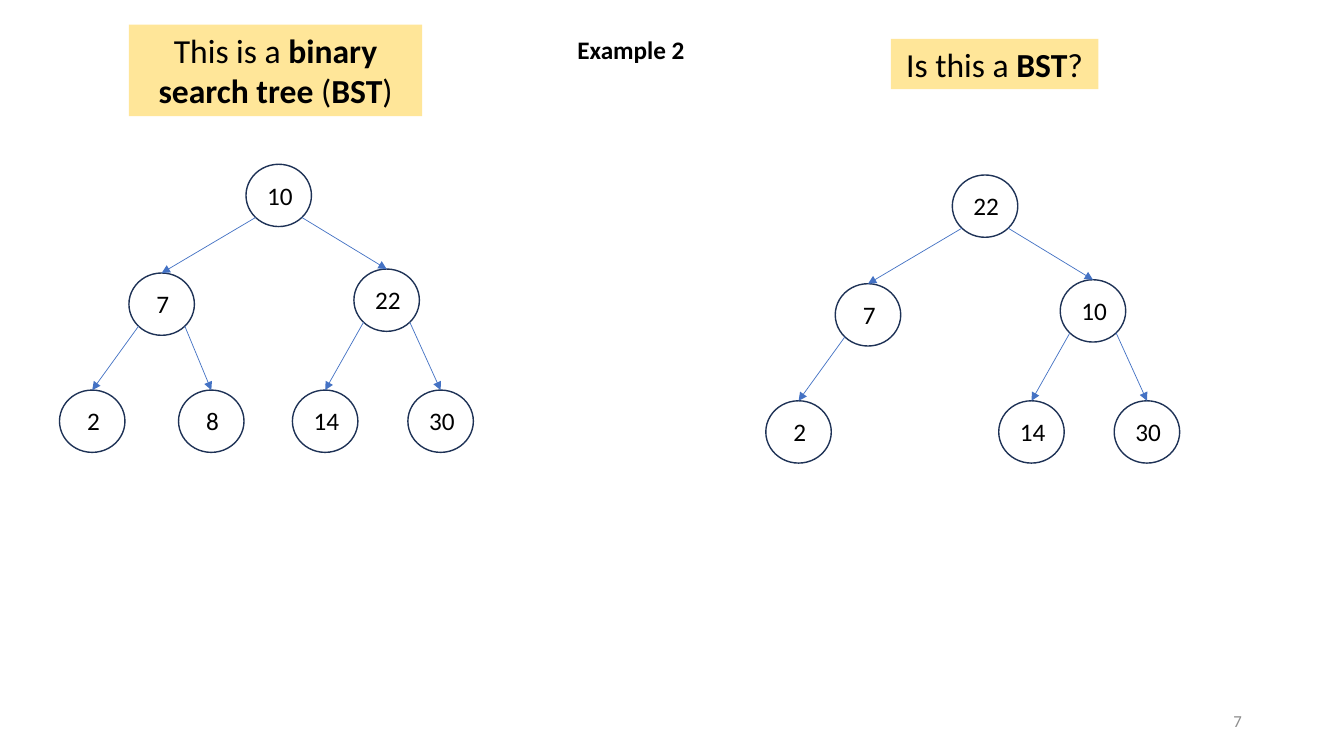
import math
import pptx
import pptx.util
import pptx.dml.color
import pptx.enum.shapes
import pptx.enum.text
import pptx.oxml
import pptx.oxml.ns

Cm, Pt = pptx.util.Cm, pptx.util.Pt
ALIGN = pptx.enum.text.PP_ALIGN
SHAPE = pptx.enum.shapes.MSO_SHAPE

# Content: a tree lists its values by slot, a run is (text, bold)
COLORS = {"text": "000000", "node": "1E3256", "arrow": "4472C4",
          "label": "FFE699", "number": "8C8C8C"}
TREES = [
    {"offset": (0, 0),
     "values": {"root": "10", "L": "7", "R": "22",
                "LL": "2", "LR": "8", "RL": "14", "RR": "30"}},
    {"offset": (17.8, 0.27),
     "values": {"root": "22", "L": "7", "R": "10",
                "LL": "2", "RL": "14", "RR": "30"}},
]
LABELS = [
    ((3.25, 0.62, 7.39, 2.31),
     [("This is a ", False), ("binary search tree", True), (" (", False),
      ("BST", True), (")", False)]),
    ((22.45, 0.98, 5.23, 1.27),
     [("Is this a ", False), ("BST", True), ("?", False)]),
]
HEADING = ((14.3, 0.74, 3.23, 1.02), [("Example 2", True)])
NUMBER = ((23.93, 17.65, 7.62, 1.02), [("7", False)])

# Geometry in centimetres
NODE_W, NODE_H = 1.65, 1.57
SLOTS = {"root": (6.2, 4.14), "L": (3.25, 6.88), "R": (8.92, 6.78),
         "LL": (1.5, 9.83), "LR": (4.5, 9.83),
         "RL": (7.37, 9.83), "RR": (10.28, 9.83)}
VALUE_DX, VALUE_DY, VALUE_W, VALUE_H = -0.43, 0.27, 2.57, 1.02


def rgb(name):
    return pptx.dml.color.RGBColor.from_string(COLORS[name])


def write(sp, runs, size, align, color="text", **frame):
    tf = sp.text_frame
    for key, value in {"word_wrap": True, **frame}.items():
        setattr(tf, key, value)
    p = tf.paragraphs[0]
    p.alignment = align
    for text, bold in runs:
        r = p.add_run()
        r.text = text
        r.font.color.rgb = rgb(color)
        for key, value in {"name": "Calibri", "size": Pt(size), "bold": bold}.items():
            setattr(r.font, key, value)


def add_node(s, value, x, y):
    shapes = s.shapes.add_group_shape().shapes
    box = (x + VALUE_DX, y + VALUE_DY, VALUE_W, VALUE_H)
    write(shapes.add_textbox(*map(Cm, box)), [(value, False)], 18, ALIGN.CENTER)
    sp = shapes.add_shape(SHAPE.OVAL, *map(Cm, (x, y, NODE_W, NODE_H)))
    sp.shadow.inherit = False
    sp.fill.background()
    sp.line.color.rgb = rgb("node")
    sp.line.width = Pt(1)


def add_arrow(s, parent, child, side):
    # From the lower diagonal of the parent to the top of the child
    reach = math.sqrt(0.5)
    ends = (parent[0] + NODE_W / 2 * (1 + side * reach),
            parent[1] + NODE_H / 2 * (1 + reach),
            child[0] + NODE_W / 2, child[1])
    cx = s.shapes.add_connector(pptx.enum.shapes.MSO_CONNECTOR.STRAIGHT, *map(Cm, ends))
    cx.line.color.rgb = rgb("arrow")
    cx.line.width = Pt(0.5)
    ns = pptx.oxml.ns.nsdecls("a")
    cx.line._get_or_add_ln().append(
        pptx.oxml.parse_xml(f'<a:tailEnd {ns} type="triangle"/>'))
    cx._element.spPr.append(pptx.oxml.parse_xml(f"<a:effectLst {ns}/>"))


def add_tree(s, offset, values):
    spots = {slot: (SLOTS[slot][0] + offset[0], SLOTS[slot][1] + offset[1])
             for slot in values}
    for slot, value in values.items():
        add_node(s, value, *spots[slot])
    for slot in values:
        if slot != "root":
            side = -1 if slot.endswith("L") else 1
            add_arrow(s, spots[slot[:-1] or "root"], spots[slot], side)


def main():
    prs = pptx.Presentation()
    prs.slide_width, prs.slide_height = Cm(33.87), Cm(19.05)
    s = prs.slides.add_slide(prs.slide_layouts[6])

    # Trees
    for tree in TREES:
        add_tree(s, **tree)

    # Yellow labels
    for box, runs in LABELS:
        sp = s.shapes.add_shape(SHAPE.RECTANGLE, *map(Cm, box))
        sp.shadow.inherit = False
        sp.fill.solid()
        sp.fill.fore_color.rgb = rgb("label")
        sp.line.fill.background()
        write(sp, runs, 24, ALIGN.CENTER,
              vertical_anchor=pptx.enum.text.MSO_ANCHOR.TOP)

    # Slide number and heading
    box, runs = NUMBER
    write(s.shapes.add_textbox(*map(Cm, box)), runs, 12, ALIGN.RIGHT, "number",
          vertical_anchor=pptx.enum.text.MSO_ANCHOR.MIDDLE)
    box, runs = HEADING
    write(s.shapes.add_textbox(*map(Cm, box)), runs, 18, ALIGN.LEFT, word_wrap=False)

    prs.save("out.pptx")


if __name__ == "__main__":
    main()
